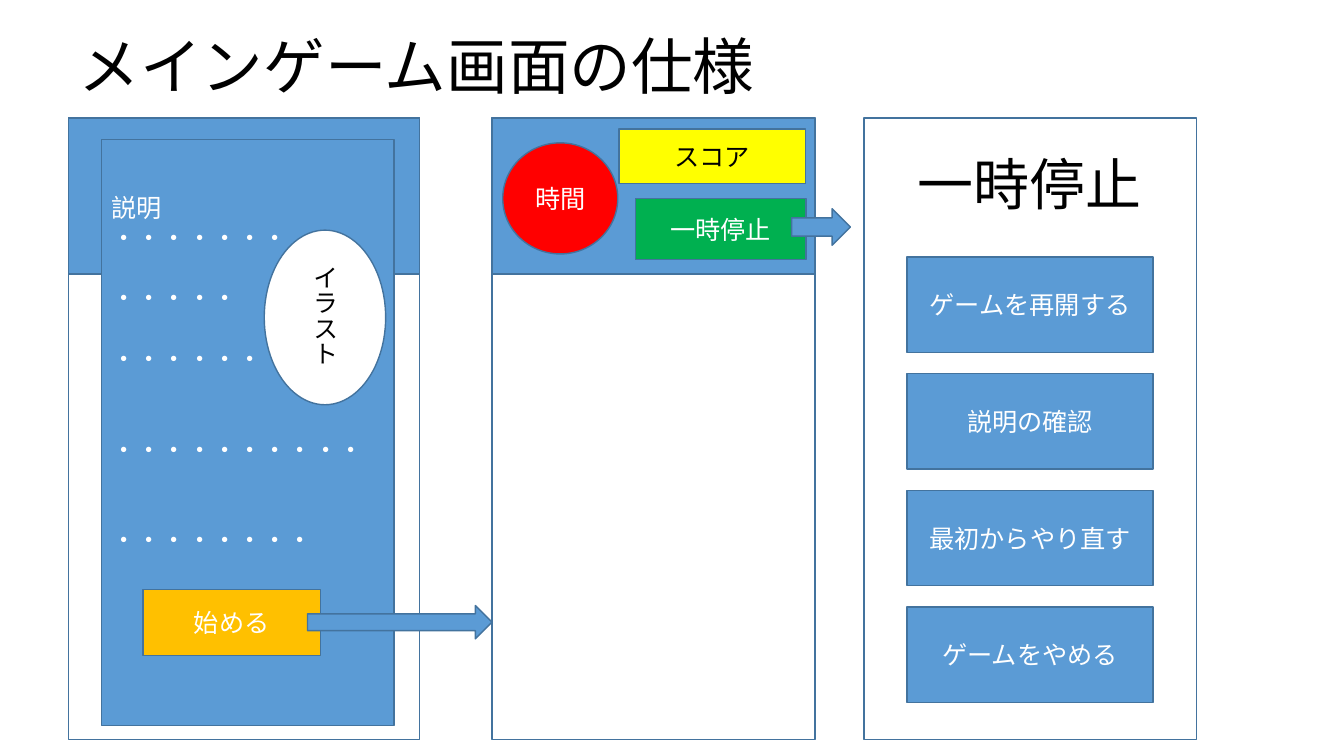
"""Build the slide that specifies the main game screens."""
import pptx
import pptx.util
import pptx.dml.color
import pptx.enum.shapes
import pptx.enum.text
import pptx.oxml.ns
from lxml import etree

Cm, Pt = pptx.util.Cm, pptx.util.Pt
MSO = pptx.enum.shapes.MSO_SHAPE
ALIGN = pptx.enum.text.PP_ALIGN
ANCHOR = pptx.enum.text.MSO_ANCHOR

JP = "Noto Sans CJK JP"
BLUE, EDGE, WHITE, BLACK = "5B9BD5", "43739E", "FFFFFF", "000000"
LINE_PT = 21.6

TITLE = "メインゲーム画面の仕様"
PANEL_TOP, PANEL_HEIGHT, HEADER_HEIGHT = 2.97, 15.67, 3.94
START_PANEL = (1.73, 8.84)
GAME_PANEL = (12.4, 8.14)
PAUSE_PANEL = (21.77, 8.38)

GAME_PARTS = [
    (MSO.OVAL, (12.67, 3.6, 2.9, 2.8), "FF0000", "時間", WHITE),
    (MSO.RECTANGLE, (15.6, 3.25, 4.7, 1.37), "FFFF00", "スコア", BLACK),
    (MSO.RECTANGLE, (16.01, 5.01, 4.3, 1.53), "00B050", "一時停止", WHITE),
    (MSO.RIGHT_ARROW, (19.95, 5.26, 1.48, 0.92), BLUE, "", WHITE),
]
PAUSE_TITLE = "一時停止"
PAUSE_BUTTONS = ["ゲームを再開する", "説明の確認", "最初からやり直す", "ゲームをやめる"]
BUTTON_TOP, BUTTON_PITCH = 6.48, 2.94

EXPLANATION = [("説明", 0), ("・" * 7, 0), ("・" * 5, 1), ("・" * 6, 1),
               ("・" * 10, 2), ("・" * 8, 2)]
START_PARTS = [
    (MSO.RECTANGLE, (3.6, 14.86, 4.48, 1.66), "FFC000", "始める", WHITE),
    (MSO.RIGHT_ARROW, (7.75, 15.26, 4.65, 0.84), BLUE, "", WHITE),
]
ILLUSTRATION = (MSO.OVAL, (6.66, 5.8, 3.06, 4.4), WHITE, "イラスト", BLACK)


def rgb(value):
    return pptx.dml.color.RGBColor.from_string(value)


def add_run(p, text, size, color, font=JP):
    r = p.add_run()
    r.text = text
    r.font.size = Pt(size)
    r.font.name = font
    r.font.color.rgb = rgb(color)
    ea = etree.SubElement(r.font._element, pptx.oxml.ns.qn("a:ea"))
    ea.set("typeface", JP)


def add_part(s, kind, box, fill=None, text="", color=WHITE):
    sp = s.shapes.add_shape(kind, *map(Cm, box))
    sp.shadow.inherit = False
    if fill:
        sp.fill.solid()
        sp.fill.fore_color.rgb = rgb(fill)
    else:
        sp.fill.background()
    sp.line.color.rgb = rgb(EDGE)
    sp.line.width = Pt(1)
    if text:
        tf = sp.text_frame
        tf.vertical_anchor = ANCHOR.MIDDLE
        p = tf.paragraphs[0]
        p.alignment = ALIGN.CENTER
        add_run(p, text, 18, color)
    return sp


def add_panel(s, left, width, header=True):
    add_part(s, MSO.RECTANGLE, (left, PANEL_TOP, width, PANEL_HEIGHT))
    if header:
        add_part(s, MSO.RECTANGLE, (left, PANEL_TOP, width, HEADER_HEIGHT), BLUE)


def add_title(s):
    title = s.shapes.title
    title.left, title.top, title.width, title.height = map(Cm, (1.73, 0.56, 19.38, 2.13))
    tf = title.text_frame
    tf.vertical_anchor = ANCHOR.MIDDLE
    p = tf.paragraphs[0]
    p.alignment = ALIGN.LEFT
    add_run(p, TITLE, 44, BLACK, "Arial")


def add_pause_screen(s):
    add_panel(s, *PAUSE_PANEL, header=False)
    tf = s.shapes.add_textbox(*map(Cm, (21.54, 3.63, 8.81, 1.96))).text_frame
    tf.word_wrap = True
    tf.vertical_anchor = ANCHOR.MIDDLE
    p = tf.paragraphs[0]
    p.alignment = ALIGN.CENTER
    add_run(p, PAUSE_TITLE, 40, BLACK)
    for i, label in enumerate(PAUSE_BUTTONS):
        box = (22.86, BUTTON_TOP + i * BUTTON_PITCH, 6.2, 2.4)
        add_part(s, MSO.RECTANGLE, box, BLUE, label)


def add_start_screen(s):
    add_panel(s, *START_PANEL)
    tf = add_part(s, MSO.RECTANGLE, (2.56, 3.52, 7.37, 14.76), BLUE).text_frame
    tf.vertical_anchor = ANCHOR.TOP
    tf.margin_top = Cm(1.32)
    for i, (text, gap) in enumerate(EXPLANATION):
        p = tf.add_paragraph() if i else tf.paragraphs[0]
        p.alignment = ALIGN.LEFT
        p.line_spacing = Pt(LINE_PT)
        p.space_before = Pt(gap * LINE_PT)
        add_run(p, text, 18, WHITE)
    for part in START_PARTS:
        add_part(s, *part)
    sp = add_part(s, *ILLUSTRATION)
    sp.text_frame._txBody.bodyPr.set("vert", "eaVert")


def main():
    prs = pptx.Presentation()
    prs.slide_width, prs.slide_height = Cm(33.87), Cm(19.05)
    s = prs.slides.add_slide(prs.slide_layouts[5])
    add_title(s)
    add_panel(s, *GAME_PANEL)
    for part in GAME_PARTS:
        add_part(s, *part)
    add_pause_screen(s)
    add_start_screen(s)
    prs.save("out.pptx")


if __name__ == "__main__":
    main()
